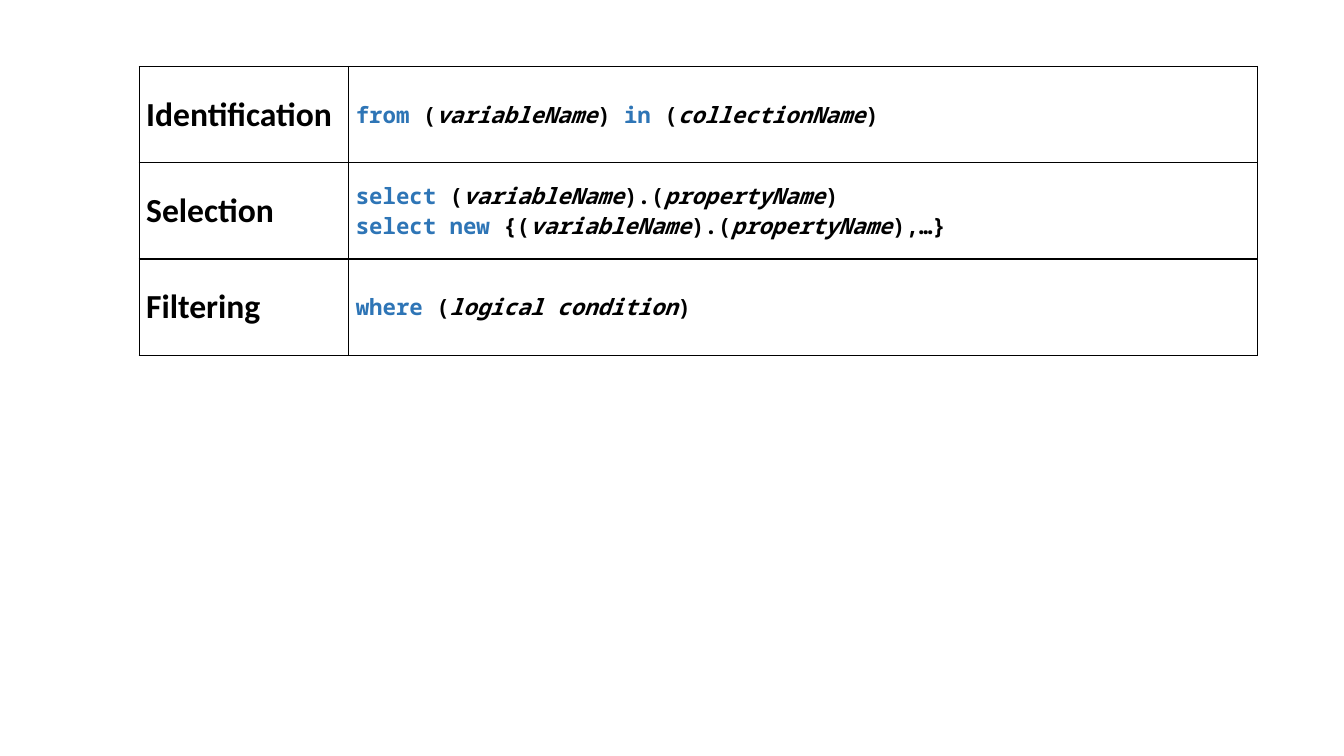
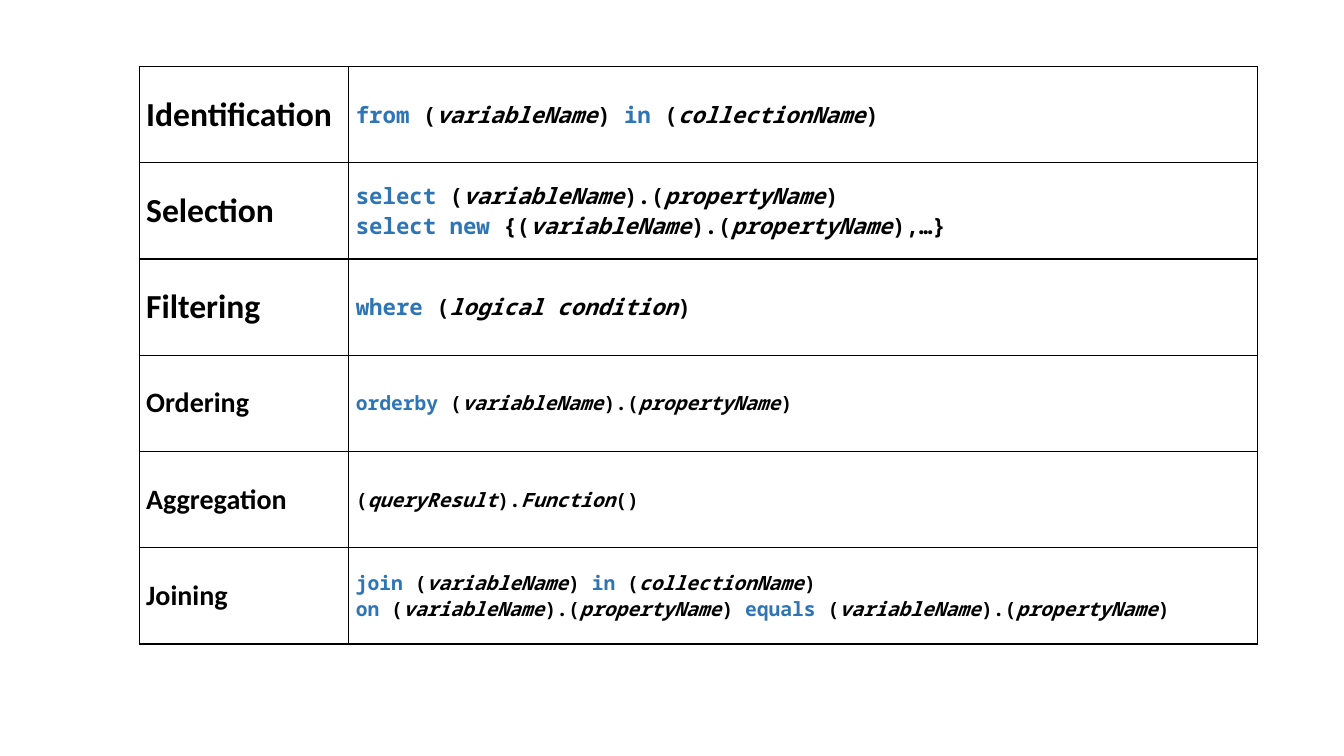
import pptx
import pptx.dml.color
import pptx.enum.text
import pptx.oxml
import pptx.oxml.ns
import pptx.util

Inches = pptx.util.Inches
Pt = pptx.util.Pt

# Shared look
BLACK = "000000"
KEYWORD_BLUE = "2E75B6"
LABEL_FONT = "Calibri"
CODE_FONT = "Noto Sans Mono"
TABLE_LEFT, TABLE_TOP = 1.38, 0.66
COLUMN_WIDTHS = (2.08, 9.01)
ROW_HEIGHT = 5.73 / 6
CELL_FORMAT = {
    "margin_left": Inches(0.07),
    "margin_right": Inches(0.07),
    "margin_top": 0,
    "margin_bottom": 0,
    "vertical_anchor": pptx.enum.text.MSO_ANCHOR.MIDDLE,
}

# Rows: label, label size, code size, code lines.
# Code pieces are split by "|"; "#" starts a keyword and "*" a placeholder.
PROPERTY = "(|*variableName|).(|*propertyName|)"
COLLECTION = " (|*variableName|) |#in| (|*collectionName|)"
BASIC_CLAUSES = [
    ("Identification", 24, 16, ["#from|" + COLLECTION]),
    ("Selection", 24, 16, [
        "#select| " + PROPERTY,
        "#select new| {" + PROPERTY + ",…}",
    ]),
    ("Filtering", 24, 16, ["#where |(|*logical condition|)"]),
]
FURTHER_CLAUSES = [
    ("Ordering", 20, 14, ["#orderby |" + PROPERTY]),
    ("Aggregation", 20, 14, ["(|*queryResult|).|*Function|()"]),
    ("Joining", 20, 14, [
        "#join|" + COLLECTION,
        "#on| " + PROPERTY + " |#equals| " + PROPERTY,
    ]),
]


def colour(value):
    return pptx.dml.color.RGBColor.from_string(value)


def set_values(target, values):
    for name, value in values.items():
        setattr(target, name, value)


def add_span(para, text, font_name, size, text_colour=BLACK, italic=False):
    span = para.add_run()
    span.text = text
    set_values(span.font, {
        "name": font_name, "size": Pt(size), "bold": True, "italic": italic,
    })
    span.font.color.rgb = colour(text_colour)


def add_code(para, line, size):
    for piece in line.split("|"):
        keyword = piece.startswith("#")
        placeholder = piece.startswith("*")
        text = piece[1:] if keyword or placeholder else piece
        add_span(para, text, CODE_FONT, size,
                 KEYWORD_BLUE if keyword else BLACK, placeholder)


def add_borders(cell):
    properties = cell._tc.get_or_add_tcPr()
    for side in ("lnL", "lnR", "lnT", "lnB"):
        properties.append(pptx.oxml.parse_xml(
            f'<a:{side} {pptx.oxml.ns.nsdecls("a")} w="{Pt(1)}">'
            f'<a:solidFill><a:srgbClr val="{BLACK}"/></a:solidFill>'
            f'</a:{side}>'))


def add_clause_table(page, clauses):
    frame = page.shapes.add_table(
        len(clauses), len(COLUMN_WIDTHS), Inches(TABLE_LEFT), Inches(TABLE_TOP),
        Inches(sum(COLUMN_WIDTHS)), Inches(ROW_HEIGHT * len(clauses)))
    table = frame.table
    set_values(table, {"first_row": False, "horz_banding": False})
    for column, width in zip(table.columns, COLUMN_WIDTHS):
        column.width = Inches(width)
    for cell in table.iter_cells():
        set_values(cell, CELL_FORMAT)
        add_borders(cell)
        cell.fill.background()

    for row, (label, label_size, code_size, lines) in zip(table.rows, clauses):
        row.height = Inches(ROW_HEIGHT)
        label_cell, code_cell = row.cells
        add_span(label_cell.text_frame.paragraphs[0], label, LABEL_FONT, label_size)
        code_text = code_cell.text_frame
        for index, line in enumerate(lines):
            para = code_text.add_paragraph() if index else code_text.paragraphs[0]
            add_code(para, line, code_size)


def main():
    deck = pptx.Presentation()
    set_values(deck, {"slide_width": Inches(13.33), "slide_height": Inches(7.5)})
    for clauses in (BASIC_CLAUSES, BASIC_CLAUSES + FURTHER_CLAUSES):
        page = deck.slides.add_slide(deck.slide_layouts[6])
        add_clause_table(page, clauses)
    deck.save("out.pptx")


if __name__ == "__main__":
    main()
